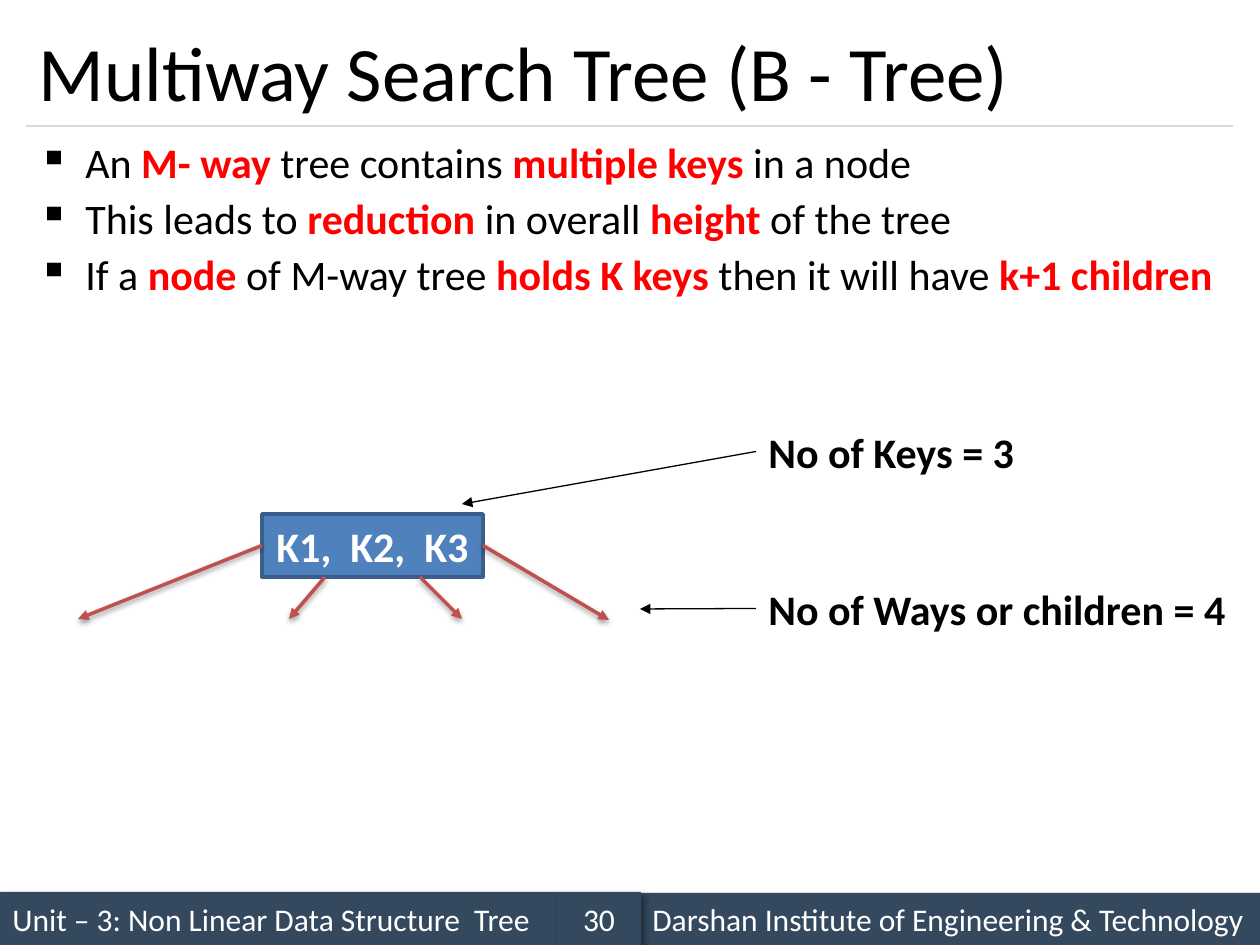
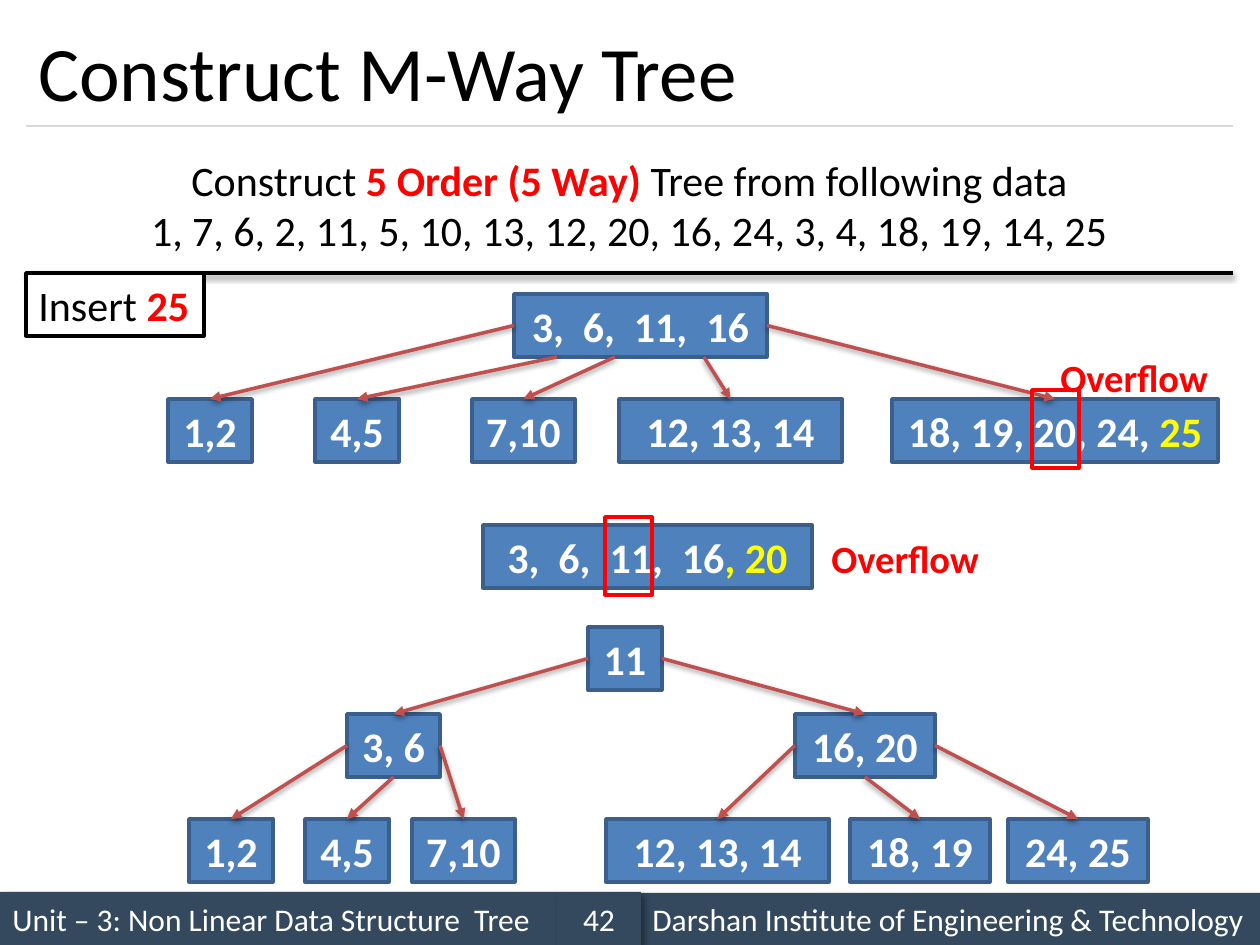
import pptx
import pptx.util
import pptx.dml.color
import pptx.enum.shapes
import pptx.enum.text
import pptx.oxml
import pptx.oxml.ns

# Text between asterisks is emphasised.
UNIT = "Unit – 3: Non Linear Data Structure  Tree"
INSTITUTE = "Darshan Institute of Engineering & Technology"

BULLETS = [
    "An *M- way *tree contains *multiple keys *in a node",
    "This leads to *reduction *in overall *height* of the tree",
    "If a *node *of M-way tree *holds K keys *then it will have *k+1 children*",
]
# A child is either another node or the bare point where its arrow ends.
# "exits" are the x places on the bottom edge where the inner arrows start.
KEY_NODE = dict(text="K1,  K2,  K3", at=(262, 514, 221), exits=[325, 420],
                children=[(78, 619), (289, 619), (462, 619), (609, 620)])
# text, box, arrow target
KEY_LABELS = [
    ("No of Keys = 3", (756, 420, 273, 63), (462, 504)),
    ("No of Ways or children = 4", (756, 577, 486, 63), (640, 609)),
]

TASK = [
    "Construct *5 Order (5 Way) *Tree from following data",
    "1, 7, 6, 2, 11, 5, 10, 13, 12, 20, 16, 24, 3, 4, 18, 19, 14, 25",
]
STEP = "Insert *25*"
TREE_BEFORE = dict(text="3,  6,  11,  16", at=(514, 294, 253), exits=[557, 615, 704], children=[
    dict(text="1,2", at=(168, 399, 84)),
    dict(text="4,5", at=(315, 399, 84)),
    dict(text="7,10", at=(472, 399, 103)),
    dict(text="12, 13, 14", at=(619, 399, 223)),
    dict(text="18, 19, 20, 24, *25*", at=(892, 399, 326)),
])
ROOT_OVERFLOW = dict(text="3,  6,  11,  16*, 20*", at=(483, 525, 329))
TREE_AFTER = dict(text="11", at=(588, 627, 74), children=[
    dict(text="3, 6", at=(347, 714, 93), children=[
        dict(text="1,2", at=(189, 819, 84)),
        dict(text="4,5", at=(305, 819, 84)),
        dict(text="7,10", at=(412, 819, 103)),
    ]),
    dict(text="16, 20", at=(795, 714, 140), children=[
        dict(text="12, 13, 14", at=(606, 819, 223)),
        dict(text="18, 19", at=(850, 819, 140)),
        dict(text="24, 25", at=(1008, 819, 140)),
    ]),
])
# label place, place of the frame around the middle key
OVERFLOWS = [((1048, 348), (1032, 390)), ((819, 529), (605, 517))]

WIDTH, HEIGHT = 1260, 945
MARGIN = 26
CONTENT_WIDTH = 1207
NODE_HEIGHT = 63
FONT = "Calibri"
COLORS = dict(band="34495E", rule="D9D9D9", node="4F81BD", node_edge="3A5F8C",
              arrow="C0504D", red="FF0000", yellow="FFFF00", black="000000", white="FFFFFF")
# blur, distance, direction, opacity
BAND_SHADOW = (50800, 38100, 2700000, 40000)
LINE_SHADOW = (40000, 20000, 5400000, 38000)
TOP, LEFT, BOTTOM, RIGHT = range(4)
ALIGN = pptx.enum.text.PP_ALIGN
ANCHOR = pptx.enum.text.MSO_ANCHOR


def px(length):
    return round(length * 914400 / 126)


def rgb(name):
    return pptx.dml.color.RGBColor.from_string(COLORS[name])


def add_effects(item, shadow=None):
    """Give an item the outer shadow, or an empty effect list."""
    inner = ""
    if shadow:
        blur, distance, direction, opacity = shadow
        inner = (f'<a:outerShdw blurRad="{blur}" dist="{distance}" dir="{direction}" rotWithShape="0">'
                 f'<a:srgbClr val="{COLORS["black"]}"><a:alpha val="{opacity}"/></a:srgbClr></a:outerShdw>')
    item._element.spPr.append(pptx.oxml.parse_xml(
        f'<a:effectLst {pptx.oxml.ns.nsdecls("a")}>{inner}</a:effectLst>'))


def write(shape, lines, size=24, color="black", bold=False, emphasis="red",
          align=ALIGN.LEFT, anchor=ANCHOR.MIDDLE, wrap=True):
    frame = shape.text_frame
    frame.word_wrap = wrap
    frame.vertical_anchor = anchor
    for index, line in enumerate(lines):
        paragraph = frame.add_paragraph() if index else frame.paragraphs[0]
        paragraph.alignment = align
        for part, text in enumerate(line.split("*")):
            if not text:
                continue
            emphasised = part % 2 == 1
            run = paragraph.add_run()
            run.text = text
            run.font.name = FONT
            run.font.size = pptx.util.Pt(size)
            run.font.bold = bold or emphasised
            run.font.color.rgb = rgb(emphasis if emphasised else color)


def add_text(slide, box, lines, **style):
    shape = slide.shapes.add_textbox(*map(px, box))
    write(shape, lines, **style)
    return shape


def add_label(slide, box, text, **style):
    label = add_text(slide, box, [text], bold=True, wrap=False, **style)
    label.text_frame.auto_size = pptx.enum.text.MSO_AUTO_SIZE.SHAPE_TO_FIT_TEXT
    return label


def add_box(slide, box, fill=None, line=None, shadow=None):
    shape = slide.shapes.add_shape(pptx.enum.shapes.MSO_SHAPE.RECTANGLE, *map(px, box))
    if fill:
        shape.fill.solid()
        shape.fill.fore_color.rgb = rgb(fill)
    else:
        shape.fill.background()
    if line:
        shape.line.color.rgb = rgb(line)
        shape.line.width = pptx.util.Pt(2)
    else:
        shape.line.fill.background()
    if shadow:
        add_effects(shape, shadow)
    else:
        shape.shadow.inherit = False
    return shape


def add_line(slide, start, end, color, width, shadow=None, arrow=False):
    line = slide.shapes.add_connector(pptx.enum.shapes.MSO_CONNECTOR.STRAIGHT,
                                      *map(px, (*start, *end)))
    line.line.color.rgb = rgb(color)
    line.line.width = pptx.util.Pt(width)
    if arrow:
        line.line._get_or_add_ln().append(pptx.oxml.parse_xml(
            f'<a:tailEnd {pptx.oxml.ns.nsdecls("a")} type="triangle"/>'))
    add_effects(line, shadow)
    return line


def add_node(slide, node):
    """Draw a node with everything below it, and return its box."""
    left, top, width = node["at"]
    box = add_box(slide, (left, top, width, NODE_HEIGHT), "node", "node_edge")
    write(box, [node["text"]], color="white", bold=True, emphasis="yellow",
          align=ALIGN.CENTER, wrap=False)
    children = node.get("children", [])
    child_boxes = [add_node(slide, child) if isinstance(child, dict) else None for child in children]
    for index, (child, child_box) in enumerate(zip(children, child_boxes)):
        if index == 0:
            site = LEFT
        elif index == len(children) - 1:
            site = RIGHT
        else:
            site = None if "exits" in node else BOTTOM
        start = (left, top) if site is not None else (node["exits"][index - 1], top + NODE_HEIGHT)
        if child_box is None:
            end = child
        else:
            child_left, child_top, child_width = child["at"]
            end = (child_left + child_width / 2, child_top)
        arrow = add_line(slide, start, end, "arrow", 2, LINE_SHADOW, arrow=True)
        if site is not None:
            arrow.begin_connect(box, site)
        if child_box is not None:
            arrow.end_connect(child_box, TOP)
    return box


def add_base_slide(presentation, title, number):
    slide = presentation.slides.add_slide(presentation.slide_layouts[6])
    add_line(slide, (MARGIN, 126), (MARGIN + CONTENT_WIDTH, 126), "rule", 0.75)
    for box, text, align in [
        ((0, 892, 557, 53), UNIT, ALIGN.LEFT),
        ((640, 893, 620, 52), INSTITUTE, ALIGN.LEFT),
        ((557, 892, 84, 53), str(number), ALIGN.CENTER),
    ]:
        band = add_box(slide, box, "band", shadow=BAND_SHADOW)
        write(band, [text], size=18, color="white", align=align)
    add_text(slide, (MARGIN, 15, CONTENT_WIDTH, 111), [title], size=44)
    return slide


def add_bullets(slide, box, lines):
    body = add_text(slide, box, lines, align=ALIGN.JUSTIFY, anchor=ANCHOR.TOP)
    for index, paragraph in enumerate(body.text_frame.paragraphs):
        properties = paragraph._p.get_or_add_pPr()
        properties.set("marL", str(px(47)))
        properties.set("indent", str(-px(47)))
        properties.append(pptx.oxml.parse_xml(
            f'<a:buChar {pptx.oxml.ns.nsdecls("a")} char="▪"/>'))
        paragraph.line_spacing = 0.9
        paragraph.space_before = pptx.util.Pt(6 if index else 0)


def add_definition_slide(presentation):
    slide = add_base_slide(presentation, "Multiway Search Tree (B - Tree)", 30)
    add_bullets(slide, (MARGIN, 136, CONTENT_WIDTH, 210), BULLETS)
    add_node(slide, KEY_NODE)
    for text, box, target in KEY_LABELS:
        label = add_label(slide, box, text)
        pointer = add_line(slide, box[:2], target, "black", 0.75, arrow=True)
        pointer.begin_connect(label, LEFT)


def add_construction_slide(presentation):
    slide = add_base_slide(presentation, "Construct M-Way Tree", 42)
    add_text(slide, (MARGIN, 147, CONTENT_WIDTH, 115), TASK, align=ALIGN.CENTER)
    add_line(slide, (MARGIN, 273), (MARGIN + CONTENT_WIDTH, 273), "black", 2, LINE_SHADOW)
    step_box = add_box(slide, (MARGIN, 273, 178, 63), "white", "black")
    write(step_box, [STEP], wrap=False)
    for node in (TREE_BEFORE, ROOT_OVERFLOW, TREE_AFTER):
        add_node(slide, node)
    for label_place, frame_place in OVERFLOWS:
        add_label(slide, (*label_place, 175, 59), "Overflow", size=22, color="red")
        add_box(slide, (*frame_place, 47, 78), line="red")


def main():
    presentation = pptx.Presentation()
    presentation.slide_width = px(WIDTH)
    presentation.slide_height = px(HEIGHT)
    add_definition_slide(presentation)
    add_construction_slide(presentation)
    presentation.save("out.pptx")


if __name__ == "__main__":
    main()
